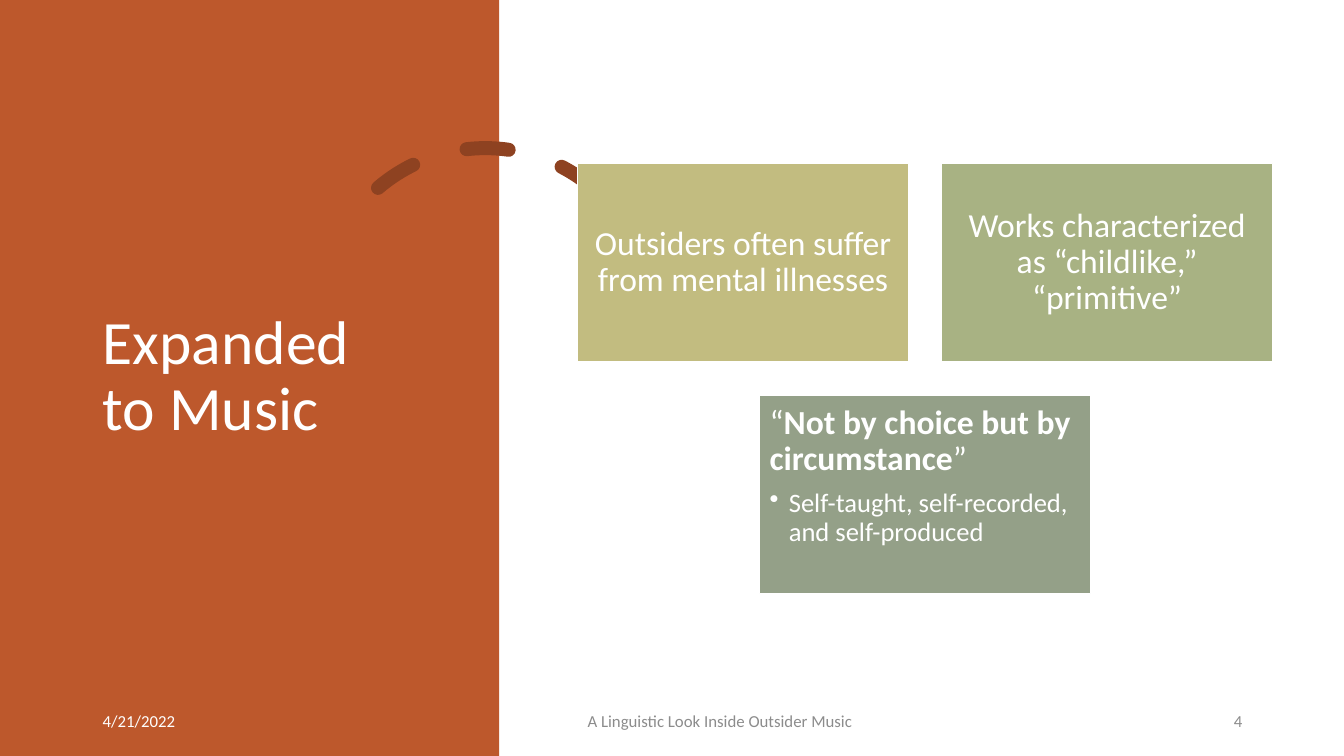
from lxml.etree import SubElement
from pptx import Presentation
from pptx.dml.color import RGBColor
from pptx.enum.dml import MSO_LINE_DASH_STYLE as Dash
from pptx.enum.shapes import MSO_SHAPE as Shape
from pptx.enum.text import MSO_ANCHOR as Anchor, MSO_AUTO_SIZE as AutoSize, PP_ALIGN as Align
from pptx.oxml.ns import qn
from pptx.util import Inches, Pt

FONT = "Calibri"
WHITE, RUST, BROWN, GREY = "FFFFFF", "BD582C", "8E4221", "8C8C8C"
SAND, SAGE, MOSS = "C2BC80", "A8B283", "94A088"

# Page columns and the card grid, in inches
MARGIN, CONTENT_LEFT, PANEL_WIDTH = 0.92, 5.73, 4.95
CARD_TOP, CARD_WIDTH, CARD_HEIGHT, CARD_GAP = 1.62, 3.28, 1.97, 0.33
FOOTER_TOP, FOOTER_HEIGHT = 6.95, 0.4


def color(value):
    return RGBColor.from_string(value)


def area(left, top, width, height):
    return [Inches(length) for length in (left, top, width, height)]


def style(para, size, tone=WHITE, align=Align.LEFT, spacing=None, after=0):
    para.font.name, para.font.size = FONT, Pt(size)
    para.font.color.rgb = color(tone)
    para.alignment = align
    para.line_spacing = spacing
    para.space_after = Pt(after)


def add_block(page, kind, place, fill=None):
    block = page.shapes.add_shape(kind, *area(*place))
    block.shadow.inherit = False
    if fill:
        block.fill.solid()
        block.fill.fore_color.rgb = color(fill)
    else:
        block.fill.background()
    block.line.fill.background()
    return block


def add_arc(page):
    arc = add_block(page, Shape.ARC, (3.18, 1.47, 3.27, 3.27))
    arc.rotation = 345.8
    arc.adjustments[0], arc.adjustments[1] = 146.13, 0
    arc.line.color.rgb = color(BROWN)
    arc.line.width = Pt(10)
    arc.line.dash_style = Dash.DASH
    arc.element.spPr.find(qn("a:ln")).set("cap", "rnd")


def add_title(page, text):
    title = page.shapes.title
    title.left, title.top, title.width, title.height = area(MARGIN, 0.7, 3.23, 6.09)
    frame = title.text_frame
    frame.text = text
    frame.auto_size = AutoSize.NONE
    frame.vertical_anchor = Anchor.MIDDLE
    style(frame.paragraphs[0], 44, spacing=0.9)


def add_card(page, column, row, fill, text=""):
    left = CONTENT_LEFT + column * (CARD_WIDTH + CARD_GAP)
    top = CARD_TOP + row * (CARD_HEIGHT + CARD_GAP)
    card = add_block(page, Shape.RECTANGLE, (left, top, CARD_WIDTH, CARD_HEIGHT), fill)
    card.line.color.rgb = color(WHITE)
    card.line.width = Pt(1)
    frame = card.text_frame
    frame.word_wrap = True
    frame.margin_left = frame.margin_right = Inches(0.1)
    frame.margin_top = frame.margin_bottom = Inches(0.1)
    frame.vertical_anchor = Anchor.MIDDLE
    frame.text = text
    style(frame.paragraphs[0], 24, align=Align.CENTER, spacing=0.9)
    return frame


def add_bullet(frame, text):
    para = frame.add_paragraph()
    para.text = text
    style(para, 19, spacing=0.9, after=2.9)
    props = para._p.get_or_add_pPr()
    indent = Inches(0.19)
    props.set("marL", str(indent))
    props.set("indent", str(-indent))
    bullet = SubElement(props, qn("a:buChar"))
    bullet.set("char", "•")
    # Paragraph defaults belong after the bullet
    props.append(props.find(qn("a:defRPr")))


def add_quote_card(page):
    frame = add_card(page, 0.5, 1, MOSS)
    frame.vertical_anchor = Anchor.TOP
    quote = frame.paragraphs[0]
    style(quote, 24, spacing=0.9, after=8.4)
    for text, bold in (("“", False), ("Not by choice but by circumstance", True), ("”", False)):
        span = quote.add_run()
        span.text = text
        span.font.bold = bold
    add_bullet(frame, "Self-taught, self-recorded, and self-produced")


def add_footer(page, left, width, text, tone, align=Align.LEFT):
    box = page.shapes.add_textbox(*area(left, FOOTER_TOP, width, FOOTER_HEIGHT))
    frame = box.text_frame
    frame.word_wrap = True
    frame.vertical_anchor = Anchor.MIDDLE
    frame.text = text
    style(frame.paragraphs[0], 12, tone, align, after=6)


def main():
    deck = Presentation()
    deck.slide_width, deck.slide_height = Inches(13.33), Inches(7.5)
    page = deck.slides.add_slide(deck.slide_layouts[5])

    # Left panel with its dashed arc and the title
    add_block(page, Shape.RECTANGLE, (0, 0, PANEL_WIDTH, 7.5), RUST)
    add_arc(page)
    add_title(page, "Expanded to Music")
    # Bring the title in front of the panel
    page.shapes.title.element.getparent().append(page.shapes.title.element)

    # Cards: two above, one centred below
    add_card(page, 0, 0, SAND, "Outsiders often suffer from mental illnesses")
    add_card(page, 1, 0, SAGE, "Works characterized as “childlike,” “primitive”")
    add_quote_card(page)

    # Footer row
    add_footer(page, MARGIN, 3, "4/21/2022", WHITE)
    add_footer(page, CONTENT_LEFT, 4.64, "A Linguistic Look Inside Outsider Music", GREY)
    add_footer(page, 10.57, 1.85, "4", GREY, Align.RIGHT)

    deck.save("out.pptx")


if __name__ == "__main__":
    main()
